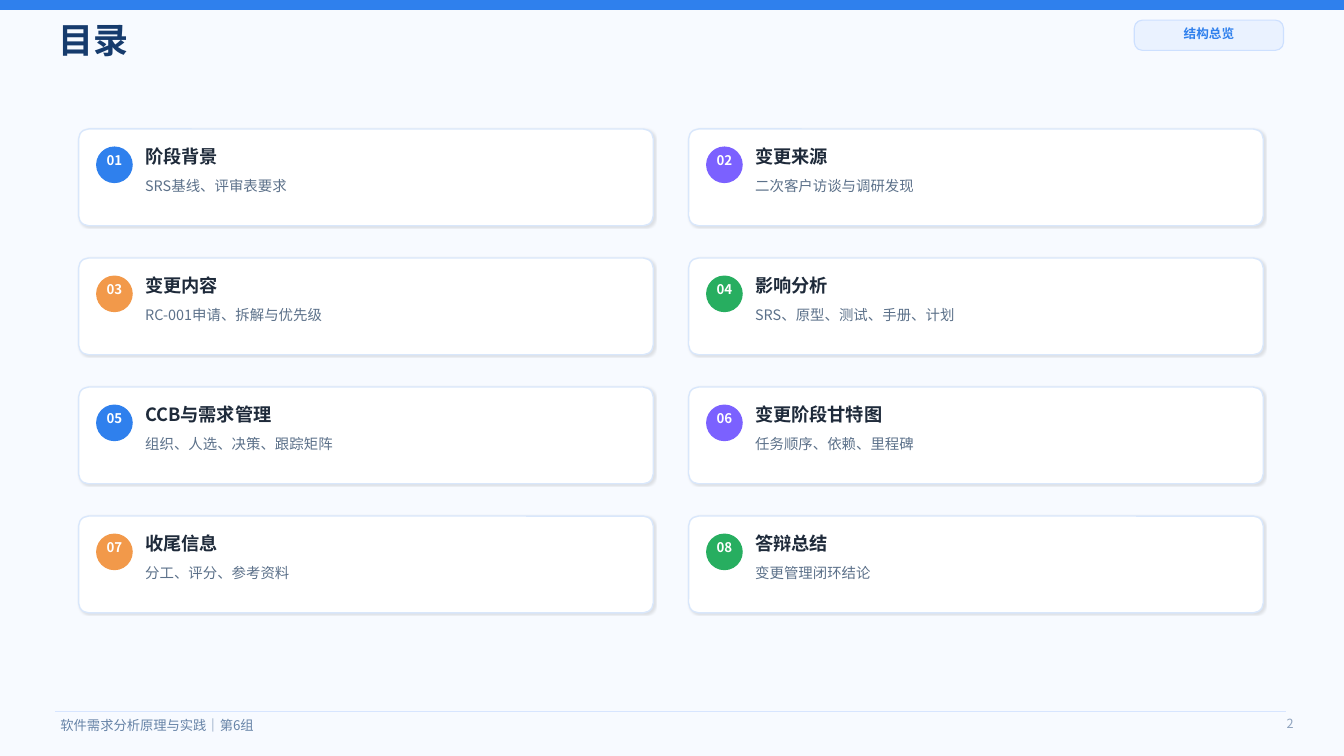
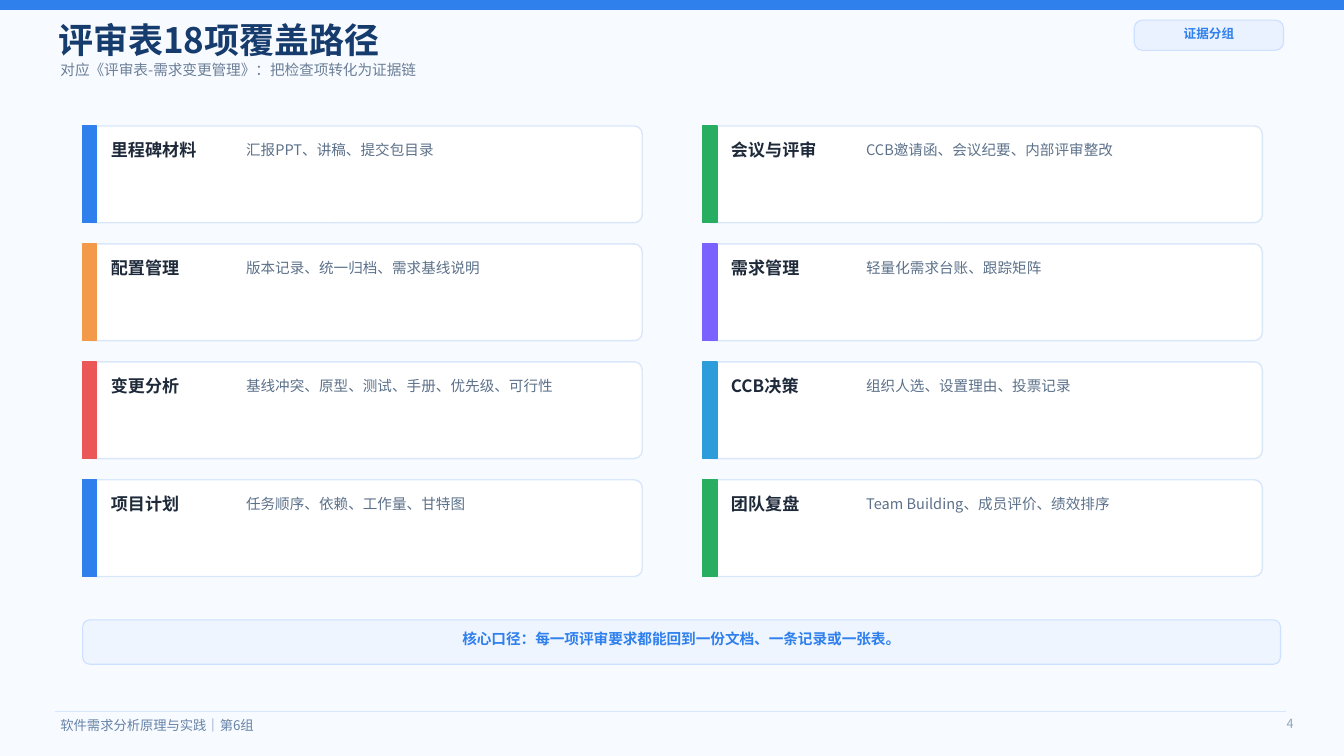
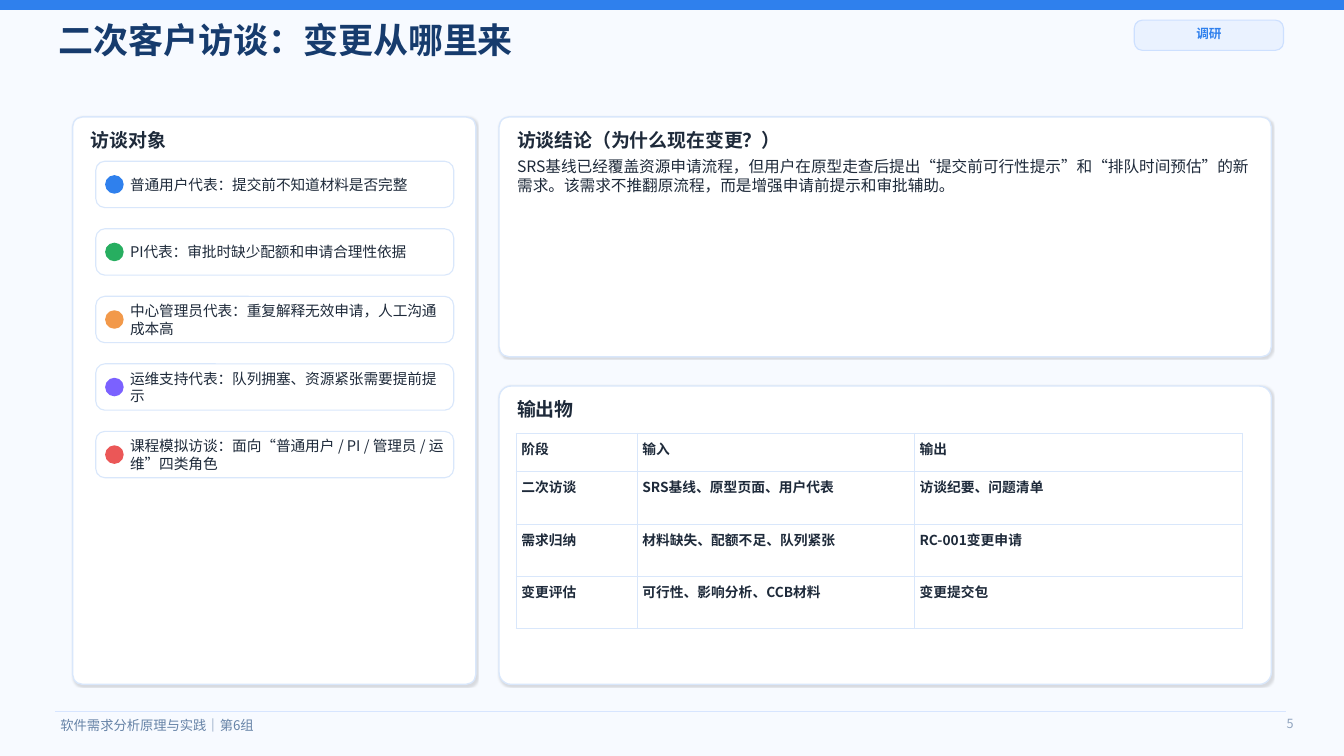
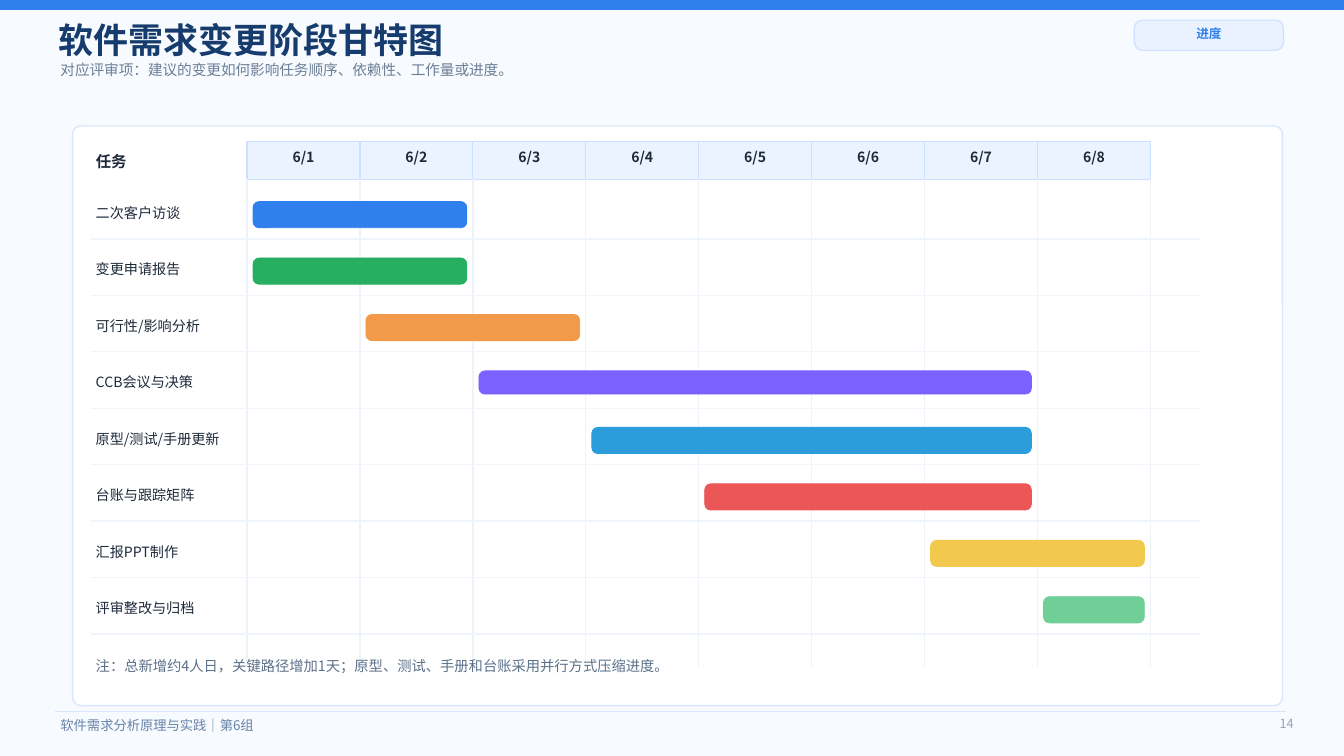
from dataclasses import dataclass
from itertools import cycle

from lxml import etree
from pptx import Presentation
from pptx.dml.color import RGBColor
from pptx.enum.shapes import MSO_CONNECTOR, MSO_SHAPE
from pptx.enum.text import MSO_ANCHOR, MSO_AUTO_SIZE, PP_ALIGN
from pptx.oxml.ns import qn
from pptx.util import Inches, Pt


@dataclass(frozen=True)
class Theme:
    font: str = "Noto Sans CJK SC"

    page: str = "F7FAFF"
    white: str = "FFFFFF"
    blue: str = "2F80ED"
    green: str = "27AE60"
    orange: str = "F2994A"
    purple: str = "7B61FF"
    red: str = "EB5757"
    sky: str = "2D9CDB"
    yellow: str = "F2C94C"
    mint: str = "6FCF97"
    heading: str = "163B6D"
    ink: str = "1E2A3A"
    muted: str = "5C718A"
    subtitle: str = "6B7F97"
    footer: str = "6683A7"
    page_number: str = "90A4BF"
    card_edge: str = "D9E7FB"
    tag_edge: str = "CDE0FF"
    tag_fill: str = "EAF2FF"
    note_fill: str = "EEF5FF"
    header_fill: str = "EAF3FF"
    footer_rule: str = "D7E5FF"
    day_rule: str = "EEF3FA"
    task_rule: str = "F0F4FB"

    title_size: float = 25
    subtitle_size: float = 10.5
    panel_size: float = 13.5
    topic_size: float = 13
    group_size: float = 12.2
    conclusion_size: float = 11.2
    column_size: float = 11
    body_size: float = 10.5
    evidence_size: float = 10.4
    summary_size: float = 10.3
    note_size: float = 10.2
    task_size: float = 10.1
    day_size: float = 10
    table_size: float = 9.8
    small_size: float = 9.5
    tag_size: float = 9


T = Theme()


def rgb(value):
    return RGBColor.from_string(value)


def box(*lengths):
    return [Inches(length) for length in lengths]


def write(frame, text, size, color, bold=False, align=PP_ALIGN.LEFT,
          anchor=MSO_ANCHOR.MIDDLE, bottom=0):
    frame.word_wrap = True
    frame.auto_size = MSO_AUTO_SIZE.NONE
    frame.vertical_anchor = anchor
    frame.margin_left = frame.margin_right = frame.margin_top = 0
    frame.margin_bottom = Inches(bottom)
    style_paragraph(frame.paragraphs[0], text, size, color, bold, align)


def style_paragraph(paragraph, text, size, color, bold, align=PP_ALIGN.LEFT):
    paragraph.alignment = align
    run = paragraph.add_run()
    run.text = text
    run.font.name = T.font
    run.font.size = Pt(size)
    run.font.bold = bold
    run.font.color.rgb = rgb(color)
    east_asian = etree.SubElement(run._r.get_or_add_rPr(), qn("a:ea"))
    east_asian.set("typeface", T.font)


def add_text(slide, area, text, size, color, **style):
    text_box = slide.shapes.add_textbox(*box(*area))
    write(text_box.text_frame, text, size, color, **style)
    return text_box


def add_block(slide, kind, area, fill, edge=None, weight=1):
    shape = slide.shapes.add_shape(kind, *box(*area))
    shape.shadow.inherit = False
    shape.fill.solid()
    shape.fill.fore_color.rgb = rgb(fill)
    shape.line.color.rgb = rgb(edge or fill)
    shape.line.width = Pt(weight)
    return shape


def add_rounded(slide, area, radius, fill=T.white, edge=T.card_edge, weight=1):
    shape = add_block(slide, MSO_SHAPE.ROUNDED_RECTANGLE, area, fill, edge, weight)
    shape.adjustments[0] = radius / min(area[2:])
    return shape


def add_shadow(shape, opacity):
    effects = shape.element.spPr.find(qn("a:effectLst"))
    shadow = etree.SubElement(effects, qn("a:outerShdw"), blurRad=str(Pt(1)),
                              dist=str(Pt(1)), dir="2700000", algn="ctr",
                              rotWithShape="0")
    color = etree.SubElement(shadow, qn("a:srgbClr"), val="000000")
    etree.SubElement(color, qn("a:alpha"), val=str(opacity * 1000))


def add_rule(slide, start, end, color, weight=1):
    rule = slide.shapes.add_connector(MSO_CONNECTOR.STRAIGHT, *box(*start, *end))
    rule.line.color.rgb = rgb(color)
    rule.line.width = Pt(weight)
    etree.SubElement(rule.element.spPr, qn("a:effectLst"))
    return rule


def add_panel(slide, area, heading, radius=0.1):
    left, top, width, _ = area
    add_shadow(add_rounded(slide, area, radius), 12)
    add_text(slide, (left + 0.18, top + 0.12, width - 0.36, 0.22), heading,
             T.panel_size, T.ink, bold=True)


def add_grid_table(slide, left, top, widths, heights, rows):
    frame = slide.shapes.add_table(len(rows), len(widths),
                                   *box(left, top, sum(widths), sum(heights)))
    table = frame.table
    table.first_row = table.horz_banding = False
    for column, width in zip(table.columns, widths):
        column.width = Inches(width)
    for row, height, texts in zip(table.rows, heights, rows):
        row.height = Inches(height)
        for cell, text in zip(row.cells, texts):
            fill_cell(cell, text)


def fill_cell(cell, text):
    cell.margin_left = cell.margin_right = Inches(0.05)
    cell.margin_top = cell.margin_bottom = Inches(0.05)
    style_paragraph(cell.text_frame.paragraphs[0], text, T.table_size, T.ink, True)
    properties = cell._tc.get_or_add_tcPr()
    for side in ("a:lnL", "a:lnR", "a:lnT", "a:lnB"):
        border = etree.SubElement(properties, qn(side), w=str(Pt(1)))
        paint = etree.SubElement(border, qn("a:solidFill"))
        etree.SubElement(paint, qn("a:srgbClr"), val=T.card_edge)
    cell.fill.solid()
    cell.fill.fore_color.rgb = rgb(T.white)


def set_up_master(prs, slide):
    master = prs.slide_master
    master.background.fill.solid()
    master.background.fill.fore_color.rgb = rgb(T.page)
    shared = (
        add_block(slide, MSO_SHAPE.RECTANGLE, (0, 0, 13.33, 0.09), T.blue),
        add_rule(slide, (0.55, 7.06), (12.75, 7.06), T.footer_rule, 1.2),
        add_text(slide, (0.6, 7.1, 4.6, 0.18), "软件需求分析原理与实践｜第6组",
                 T.small_size, T.footer),
    )
    for shape_id, shape in enumerate(shared, 101):
        shape.element.xpath(".//p:cNvPr")[0].set("id", str(shape_id))
        master.shapes.element.append(shape.element)


def add_page(prs, title, tag, number, subtitle=None):
    slide = prs.slides.add_slide(prs.slide_layouts[5])
    heading = slide.shapes.title
    heading.left, heading.top, heading.width, heading.height = box(0.58, 0.22, 8.9, 0.34)
    write(heading.text_frame, title, T.title_size, T.heading, bold=True)
    if subtitle:
        add_text(slide, (0.6, 0.6, 8.8, 0.18), subtitle, T.subtitle_size, T.subtitle)
    pill = add_rounded(slide, (11.25, 0.2, 1.48, 0.3), 0.08, T.tag_fill, T.tag_edge, 0.8)
    write(pill.text_frame, tag, T.tag_size, T.blue, bold=True,
          align=PP_ALIGN.CENTER, bottom=0.03)
    add_text(slide, (12.55, 7.09, 0.28, 0.18), str(number), T.tag_size,
             T.page_number, align=PP_ALIGN.RIGHT)
    return slide


def add_topic(slide, left, top, number, color, topic, summary):
    add_shadow(add_rounded(slide, (left, top, 5.7, 0.96), 0.1), 10)
    badge = add_block(slide, MSO_SHAPE.OVAL,
                      (left + 0.18, top + 0.18, 0.35, 0.35), color)
    write(badge.text_frame, f"{number:02}", T.small_size, T.white, bold=True,
          align=PP_ALIGN.CENTER, bottom=0.1)
    add_text(slide, (left + 0.66, top + 0.18, 2.1, 0.18), topic,
             T.topic_size, T.ink, bold=True)
    add_text(slide, (left + 0.66, top + 0.48, 4.7, 0.16), summary,
             T.summary_size, T.muted)


def add_evidence(slide, left, top, color, group, evidence):
    add_rounded(slide, (left, top, 5.55, 0.96), 0.08)
    add_block(slide, MSO_SHAPE.RECTANGLE, (left, top, 0.14, 0.96), color)
    add_text(slide, (left + 0.28, top + 0.16, 1.2, 0.16), group,
             T.group_size, T.ink, bold=True)
    add_text(slide, (left + 1.62, top + 0.16, 3.65, 0.16), evidence,
             T.evidence_size, T.muted)


def add_interviewee(slide, top, color, text):
    height, dot = 0.46, 0.17
    add_rounded(slide, (0.95, top, 3.55, height), 0.09, weight=0.8)
    add_block(slide, MSO_SHAPE.OVAL, (1.05, top + (height - dot) / 2, dot, dot), color)
    add_text(slide, (1.29, top, 3.13, height), text, T.body_size, T.ink)


def build_contents(slide):
    topics = (
        ("阶段背景", "SRS基线、评审表要求"),
        ("变更来源", "二次客户访谈与调研发现"),
        ("变更内容", "RC-001申请、拆解与优先级"),
        ("影响分析", "SRS、原型、测试、手册、计划"),
        ("CCB与需求管理", "组织、人选、决策、跟踪矩阵"),
        ("变更阶段甘特图", "任务顺序、依赖、里程碑"),
        ("收尾信息", "分工、评分、参考资料"),
        ("答辩总结", "变更管理闭环结论"),
    )
    colors = cycle((T.blue, T.purple, T.orange, T.green))
    for index, ((topic, summary), color) in enumerate(zip(topics, colors)):
        row, column = divmod(index, 2)
        add_topic(slide, 0.78 + 6.05 * column, 1.28 + 1.28 * row,
                  index + 1, color, topic, summary)


def build_review_coverage(slide):
    groups = (
        (T.blue, "里程碑材料", "汇报PPT、讲稿、提交包目录"),
        (T.green, "会议与评审", "CCB邀请函、会议纪要、内部评审整改"),
        (T.orange, "配置管理", "版本记录、统一归档、需求基线说明"),
        (T.purple, "需求管理", "轻量化需求台账、跟踪矩阵"),
        (T.red, "变更分析", "基线冲突、原型、测试、手册、优先级、可行性"),
        (T.sky, "CCB决策", "组织人选、设置理由、投票记录"),
        (T.blue, "项目计划", "任务顺序、依赖、工作量、甘特图"),
        (T.green, "团队复盘", "Team Building、成员评价、绩效排序"),
    )
    for index, group in enumerate(groups):
        row, column = divmod(index, 2)
        add_evidence(slide, 0.82 + 6.15 * column, 1.25 + 1.17 * row, *group)
    key_message = add_rounded(slide, (0.82, 6.15, 11.88, 0.44), 0.07,
                              T.note_fill, T.tag_edge, 0.8)
    write(key_message.text_frame,
          "核心口径：每一项评审要求都能回到一份文档、一条记录或一张表。",
          T.body_size, T.blue, bold=True, align=PP_ALIGN.CENTER, bottom=0.06)


def build_interviews(slide):
    add_panel(slide, (0.72, 1.16, 4, 5.63), "访谈对象")
    interviewees = (
        (T.blue, "普通用户代表：提交前不知道材料是否完整"),
        (T.green, "PI代表：审批时缺少配额和申请合理性依据"),
        (T.orange, "中心管理员代表：重复解释无效申请，人工沟通成本高"),
        (T.purple, "运维支持代表：队列拥塞、资源紧张需要提前提示"),
        (T.red, "课程模拟访谈：面向“普通用户 / PI / 管理员 / 运维”四类角色"),
    )
    for index, interviewee in enumerate(interviewees):
        add_interviewee(slide, 1.6 + 0.67 * index, *interviewee)

    add_panel(slide, (4.95, 1.16, 7.66, 2.38), "访谈结论（为什么现在变更？）")
    add_text(slide, (5.13, 1.56, 7.3, 1.88),
             "SRS基线已经覆盖资源申请流程，但用户在原型走查后提出“提交前可行性提示”"
             "和“排队时间预估”的新需求。该需求不推翻原流程，而是增强申请前提示和审批辅助。",
             T.conclusion_size, T.ink, anchor=MSO_ANCHOR.TOP)

    add_panel(slide, (4.95, 3.83, 7.66, 2.96), "输出物", 0.12)
    add_grid_table(slide, 5.12, 4.3, (1.2, 2.75, 3.25), (0.38, 0.52, 0.52, 0.52), (
        ("阶段", "输入", "输出"),
        ("二次访谈", "SRS基线、原型页面、用户代表", "访谈纪要、问题清单"),
        ("需求归纳", "材料缺失、配额不足、队列紧张", "RC-001变更申请"),
        ("变更评估", "可行性、影响分析、CCB材料", "变更提交包"),
    ))


def build_gantt(slide):
    chart_left, day_width, days = 2.45, 1.12, 8
    first_row, row_pitch, inset = 2, 0.56, 0.06
    tasks = (
        ("二次客户访谈", 1, 2, T.blue, 0.26),
        ("变更申请报告", 1, 2, T.green, 0.26),
        ("可行性/影响分析", 2, 3, T.orange, 0.26),
        ("CCB会议与决策", 3, 7, T.purple, 0.23),
        ("原型/测试/手册更新", 4, 7, T.sky, 0.26),
        ("台账与跟踪矩阵", 5, 7, T.red, 0.26),
        ("汇报PPT制作", 7, 8, T.yellow, 0.26),
        ("评审整改与归档", 8, 8, T.mint, 0.26),
    )
    add_rounded(slide, (0.72, 1.25, 12, 5.75), 0.08)
    add_text(slide, (0.95, 1.52, 1.35, 0.16), "任务", T.column_size, T.ink, bold=True)
    for day in range(days + 1):
        left = chart_left + day_width * day
        if day < days:
            header = add_block(slide, MSO_SHAPE.RECTANGLE, (left, 1.4, day_width, 0.38),
                               T.header_fill, T.tag_edge, 0.8)
            write(header.text_frame, f"6/{day + 1}", T.day_size, T.ink, bold=True,
                  align=PP_ALIGN.CENTER, bottom=0.06)
        add_rule(slide, (left, 1.78), (left, 6.62), T.day_rule)
    for index, (task, start, end, color, height) in enumerate(tasks):
        top = first_row + row_pitch * index
        add_text(slide, (0.95, top + 0.05, 1.3, 0.12), task, T.task_size, T.ink)
        add_rule(slide, (0.9, top + 0.37), (11.9, top + 0.37), T.task_rule)
        left = chart_left + day_width * (start - 1) + inset
        width = day_width * (end - start + 1) - 2 * inset
        add_rounded(slide, (left, top, width, height), 0.06, color, color, 0.6)
    add_text(slide, (0.95, 6.53, 10.2, 0.16),
             "注：总新增约4人日，关键路径增加1天；原型、测试、手册和台账采用并行方式压缩进度。",
             T.note_size, T.muted)


def main():
    prs = Presentation()
    prs.slide_width, prs.slide_height = box(13.33, 7.5)

    contents = add_page(prs, "目录", "结构总览", 2)
    set_up_master(prs, contents)
    build_contents(contents)
    build_review_coverage(add_page(
        prs, "评审表18项覆盖路径", "证据分组", 4,
        "对应《评审表-需求变更管理》：把检查项转化为证据链"))
    build_interviews(add_page(prs, "二次客户访谈：变更从哪里来", "调研", 5))
    build_gantt(add_page(
        prs, "软件需求变更阶段甘特图", "进度", 14,
        "对应评审项：建议的变更如何影响任务顺序、依赖性、工作量或进度。"))

    prs.save("out.pptx")


main()
